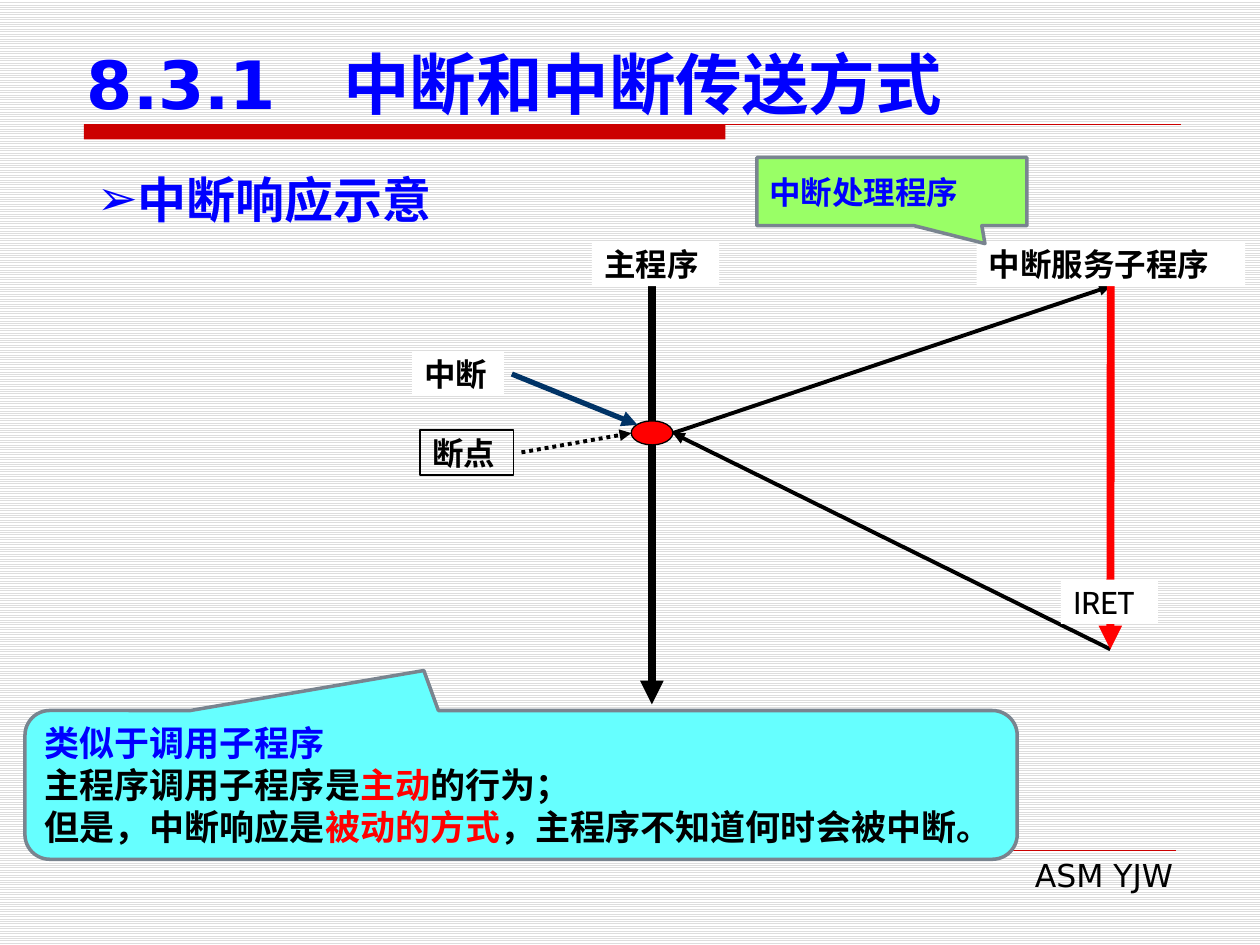
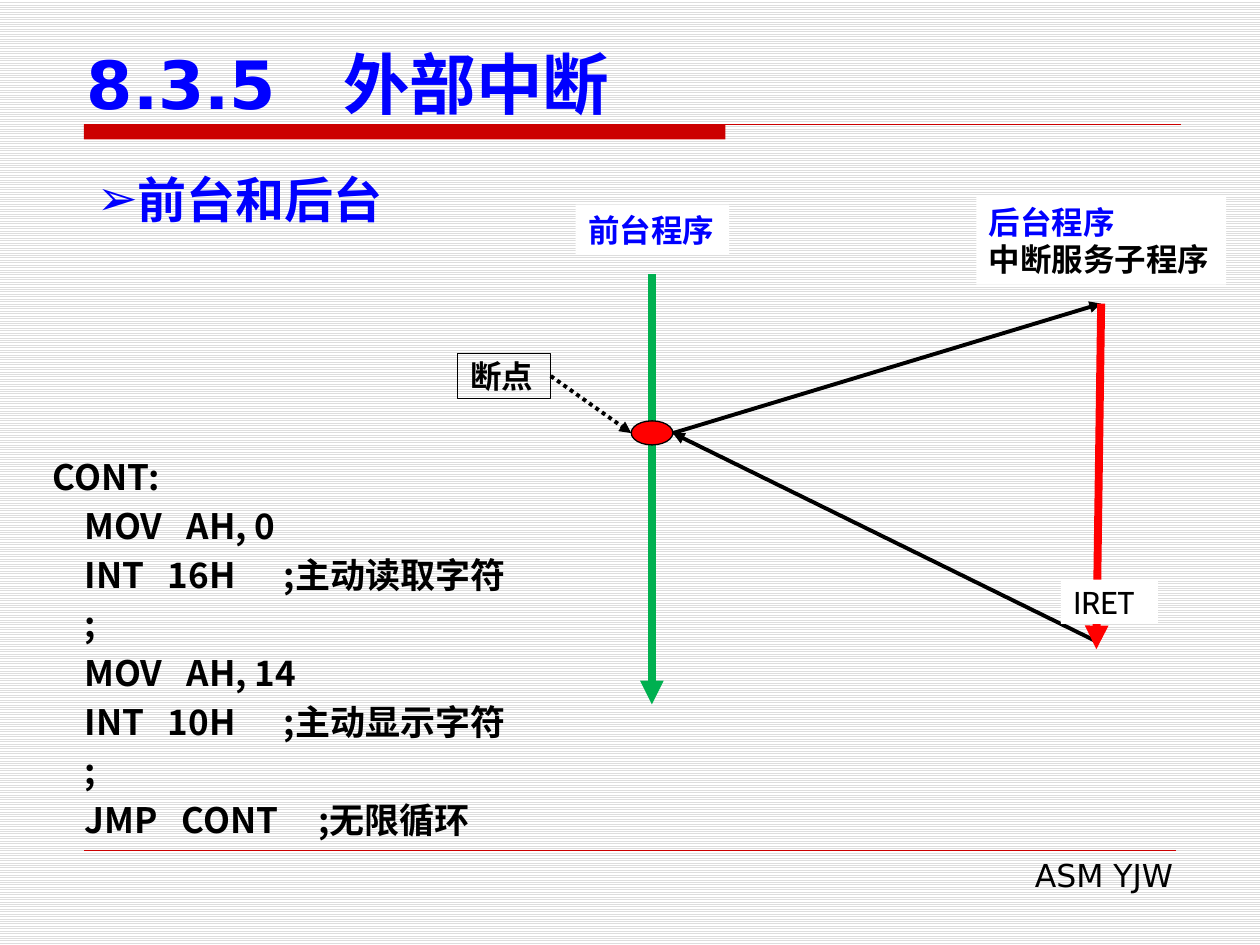
from lxml import etree
from pptx import Presentation
from pptx.dml.color import RGBColor
from pptx.enum import dml, shapes, text
from pptx.oxml.ns import qn
from pptx.util import Pt

COLORS = {
    "black": "000000", "white": "FFFFFF", "stripe": "DDDDDD", "blue": "0000FF",
    "red": "FF0000", "band": "CC0000", "green": "00B050", "navy": "003366",
    "cyan": "66FFFF", "lime": "99FF66", "gray": "79848F",
}
RGB = {name: RGBColor.from_string(value) for name, value in COLORS.items()}
SANS, LABEL, CJK = "DejaVu Sans", "Cabin", "Noto Sans CJK SC"
SHAPE = shapes.MSO_SHAPE


def write(sp, lines, size, font, bold=True, spacing=None, anchor=text.MSO_ANCHOR.MIDDLE):
    tf = sp.text_frame
    tf.word_wrap = True
    tf.auto_size = text.MSO_AUTO_SIZE.NONE
    tf.vertical_anchor = anchor
    for i, line in enumerate(lines):
        p = tf.add_paragraph() if i else tf.paragraphs[0]
        p.alignment = text.PP_ALIGN.LEFT
        if spacing:
            p.line_spacing = Pt(spacing)
        for words, color in line:
            r = p.add_run()
            r.text = words
            r.font.size = Pt(size)
            r.font.bold = bold
            r.font.name = font
            r.font.color.rgb = RGB[color]
            ea = etree.SubElement(r.font._element, qn("a:ea"))
            ea.set("typeface", CJK)


def connect(s, x1, y1, x2, y2, color, width, head=True, dash=None):
    c = s.shapes.add_connector(shapes.MSO_CONNECTOR.STRAIGHT, Pt(x1), Pt(y1), Pt(x2), Pt(y2))
    c.line.color.rgb = RGB[color]
    c.line.width = Pt(width)
    if dash:
        c.line.dash_style = dash
    if head:
        tail = etree.SubElement(c.line._get_or_add_ln(), qn("a:tailEnd"))
        tail.set("type", "triangle")
    etree.SubElement(c._element.spPr, qn("a:effectLst"))
    return c


prs = Presentation()
prs.slide_width, prs.slide_height = Pt(720), Pt(540)
fill = prs.slide_master.background.fill
fill.patterned()
fill.pattern = dml.MSO_PATTERN.LIGHT_HORIZONTAL
fill.fore_color.rgb = RGB["stripe"]
fill.back_color.rgb = RGB["white"]

DOT_LEFT, DOT_RIGHT, DOT_Y, MAIN_X = 360.75, 384.5, 247.5, 372.5
DOTTED = dml.MSO_LINE.ROUND_DOT
PAGES = [
    {
        "title": "8.3.1\u3000中断和中断传送方式".replace("\u3000", "　"),
        "topic": "中断响应示意",
        "main": (142, "black"),
        "labels": {
            "interrupt": (235.5, 201, 52.5, 25, [[("中断", "black")]]),
            "break": (240, 245.75, 53.25, 25.75, [[("断点", "black")]]),
            "service": (558, 138, 153.5, 25.5, [[("中断服务子程序", "black")]]),
            "main": (338.25, 138, 72.75, 25.5, [[("主程序", "black")]]),
        },
        "break_from": (298, 258.5),
        "service_top": (634.75, 164),
        "service_end": (634.5, 371),
        "return_from": (634.5, 371),
    },
    {
        "title": "8.3.5　外部中断",
        "topic": "前台和后台",
        "main": (156.75, "green"),
        "labels": {
            "break": (261.5, 202, 53.25, 25.75, [[("断点", "black")]]),
            "service": (558, 112, 142.75, 50.75,
                        [[("后台程序", "blue")], [("中断服务子程序", "black")]]),
            "main": (329, 117, 87.75, 28.75, [[("前台程序", "blue")]]),
        },
        "break_from": (314.75, 214.88),
        "service_top": (629.25, 173.5),
        "service_end": (626.5, 371),
        "return_from": (626.5, 366.5),
    },
]

slides = []
for page in PAGES:
    s = prs.slides.add_slide(prs.slide_layouts[5])
    slides.append(s)
    band = s.shapes.add_shape(SHAPE.RECTANGLE, Pt(48), Pt(71.25), Pt(366.5), Pt(8.5))
    band.shadow.inherit = False
    band.fill.solid()
    band.fill.fore_color.rgb = RGB["band"]
    band.line.fill.background()
    connect(s, 48, 71.25, 674.75, 71.25, "band", 0.75, head=False)
    connect(s, 48, 486, 672, 486, "band", 0.25, head=False)

    footer = s.shapes.add_textbox(Pt(275), Pt(485.25), Pt(402.5), Pt(29))
    write(footer, [[("ASM YJW", "black")]], 18, SANS, bold=False)
    footer.text_frame.paragraphs[0].alignment = text.PP_ALIGN.RIGHT

    title = s.shapes.title
    title.left, title.top, title.width, title.height = Pt(42.5), Pt(20), Pt(652.5), Pt(51.25)
    write(title, [[(page["title"], "blue")]], 38, SANS, anchor=text.MSO_ANCHOR.BOTTOM)
    title.text_frame.margin_bottom = Pt(1)

    topic = s.shapes.add_textbox(Pt(48.25), Pt(93), Pt(623.5), Pt(41))
    write(topic, [[(page["topic"], "blue")]], 28, SANS)
    pPr = topic.text_frame.paragraphs[0]._p.get_or_add_pPr()
    pPr.set("marL", str(Pt(23.5)))
    pPr.set("indent", str(-Pt(23.5)))
    etree.SubElement(pPr, qn("a:buFont")).set("typeface", SANS)
    etree.SubElement(pPr, qn("a:buChar")).set("char", "➢")

    top, color = page["main"]
    connect(s, MAIN_X, top, MAIN_X, 402.5, color, 4.5)
    dot = s.shapes.add_shape(SHAPE.FLOWCHART_CONNECTOR, Pt(DOT_LEFT), Pt(240.5),
                             Pt(DOT_RIGHT - DOT_LEFT), Pt(13.75))
    dot.shadow.inherit = False
    dot.fill.solid()
    dot.fill.fore_color.rgb = RGB["red"]
    dot.line.color.rgb = RGB["black"]
    dot.line.width = Pt(0.75)

    links = {
        "break": connect(s, *page["break_from"], DOT_LEFT, DOT_Y, "black", 2.25, dash=DOTTED),
        "call": connect(s, DOT_RIGHT, DOT_Y, *page["service_top"], "black", 2.25),
        "return": connect(s, *page["return_from"], DOT_RIGHT, DOT_Y, "black", 2.25),
        "service": connect(s, *page["service_top"], *page["service_end"], "red", 4.5),
    }

    boxes = {}
    labels = {**page["labels"], "iret": (606.25, 331.25, 55.5, 25.25, [[("IRET", "black")]])}
    for name, (x, y, w, h, lines) in labels.items():
        sp = s.shapes.add_shape(SHAPE.RECTANGLE, Pt(x), Pt(y), Pt(w), Pt(h))
        sp.shadow.inherit = False
        if name == "break":
            sp.fill.background()
            sp.line.color.rgb = RGB["black"]
            sp.line.width = Pt(0.75)
        else:
            sp.fill.solid()
            sp.fill.fore_color.rgb = RGB["white"]
            sp.line.fill.background()
        write(sp, lines, 18, LABEL, bold=name != "iret",
              spacing=21.6 if len(lines) > 1 else None)
        sp.text_frame.margin_right = 0
        boxes[name] = sp

    if "interrupt" in boxes:
        connect(s, 292.5, 213.75, 364.25, 242.75, "navy", 3)
        links["call"].end_connect(boxes["service"], 2)
        links["service"].begin_connect(boxes["service"], 2)
    else:
        links["break"].begin_connect(boxes["break"], 3)

response, external = slides

CALLOUTS = [
    (SHAPE.ROUNDED_RECTANGULAR_CALLOUT, (14.25, 406, 567, 85), (-0.098, -0.769, 0.167),
     "cyan", 20, CJK, 24, [
         [("类似于调用子程序", "blue")],
         [("主程序调用子程序是", "black"), ("主动", "red"), ("的行为；", "black")],
         [("但是，中断响应是", "black"), ("被动的方式", "red"),
          ("，主程序不知道何时会被中断。", "black")],
     ]),
    (SHAPE.RECTANGULAR_CALLOUT, (432.5, 90, 154.25, 39), (0.345, 0.762),
     "lime", 18, SANS, None, [[("中断处理程序", "blue")]]),
]
for kind, frame, adjustments, color, size, font, spacing, lines in CALLOUTS:
    sp = response.shapes.add_shape(kind, *map(Pt, frame))
    sp.shadow.inherit = False
    for i, value in enumerate(adjustments):
        sp.adjustments[i] = value
    sp.fill.solid()
    sp.fill.fore_color.rgb = RGB[color]
    sp.line.color.rgb = RGB["gray"]
    sp.line.width = Pt(2)
    write(sp, lines, size, font, spacing=spacing)

CODE = """CONT:
    MOV   AH, 0
    INT   16H      ;主动读取字符
    ;
    MOV   AH, 14
    INT   10H      ;主动显示字符
    ;
    JMP   CONT     ;无限循环"""
listing = external.shapes.add_textbox(Pt(23), Pt(252.75), Pt(350), Pt(233.25))
write(listing, [[(line, "black")] for line in CODE.splitlines()], 20, CJK,
      spacing=28, anchor=text.MSO_ANCHOR.TOP)

prs.save("out.pptx")
